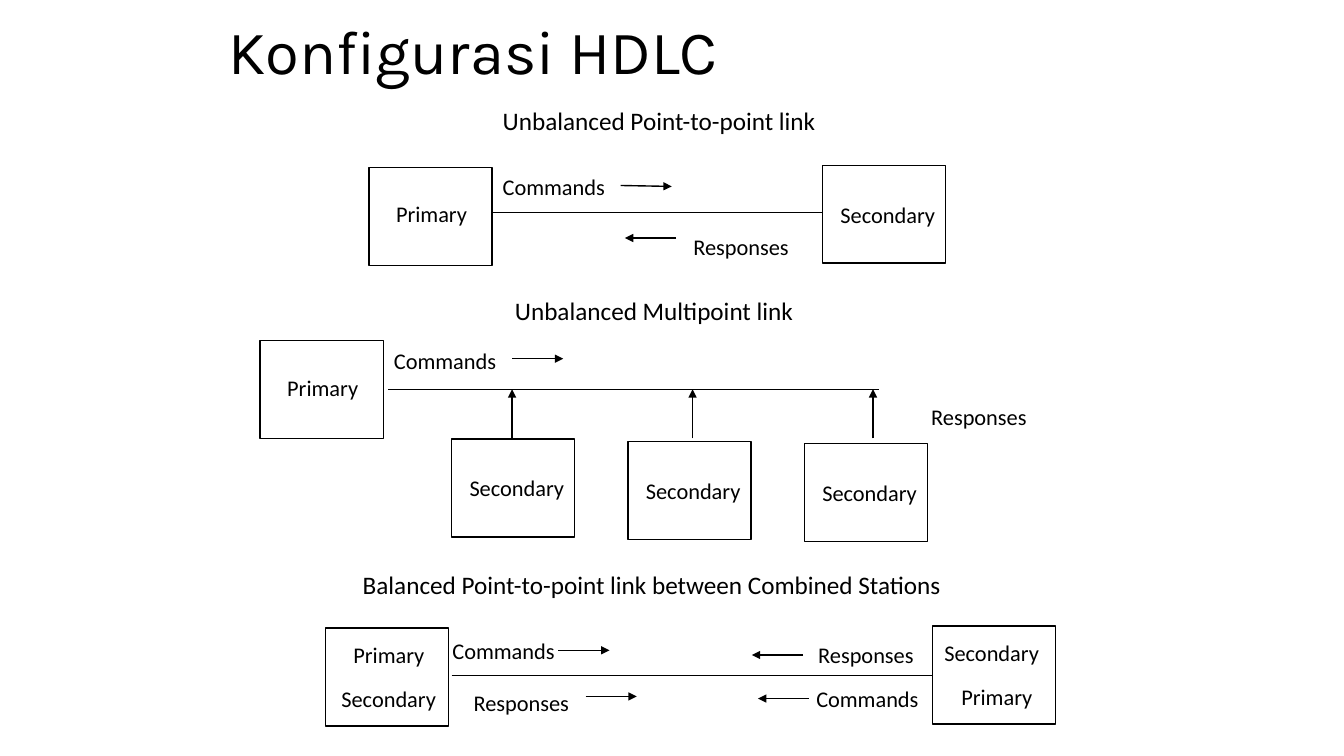
"""Builds a slide that shows the three HDLC link configurations."""
import dataclasses

import lxml.etree
import pptx
import pptx.dml.color
import pptx.enum.shapes
import pptx.enum.text
import pptx.oxml.ns
import pptx.util

Pt = pptx.util.Pt


@dataclasses.dataclass(frozen=True)
class Theme:
    """Colours, fonts and sizes of the slide."""
    ink: pptx.dml.color.RGBColor = pptx.dml.color.RGBColor(0, 0, 0)
    title_font: str = "Karla"
    body_font: str = "Calibri"
    title_size: float = 44
    heading_size: float = 18
    label_size: float = 16
    line_width: float = 1


class Diagram:
    """Draws titles, labels, stations and links on one slide."""

    station_size = (88, 70)
    label_widths = {"Primary": 66, "Secondary": 83, "Commands": 88.5, "Responses": 83.5}
    label_offsets = {"Primary": (12.3, 20.2), "Secondary": (5.8, 21.8)}
    arrow_length = 36.5

    def __init__(self, slide, theme):
        self.slide = slide
        self.theme = theme

    def text(self, content, left, top, width, height, size, font):
        box = self.slide.shapes.add_textbox(Pt(left), Pt(top), Pt(width), Pt(height))
        box.text_frame.word_wrap = False
        paragraph = box.text_frame.paragraphs[0]
        paragraph.text = content
        paragraph.font.size = Pt(size)
        paragraph.font.name = font
        paragraph.font.color.rgb = self.theme.ink
        return box.text_frame

    def title(self, content, left, top, width, height):
        frame = self.text(content, left, top, width, height,
                          self.theme.title_size, self.theme.title_font)
        frame.word_wrap = True
        frame.vertical_anchor = pptx.enum.text.MSO_ANCHOR.MIDDLE
        frame.paragraphs[0].line_spacing = 0.9

    def heading(self, content, left, top, width):
        self.text(content, left, top, width, 29,
                  self.theme.heading_size, self.theme.body_font)

    def label(self, content, left, top):
        self.text(content, left, top, self.label_widths[content], 26.5,
                  self.theme.label_size, self.theme.body_font)

    def box(self, left, top):
        width, height = self.station_size
        shape = self.slide.shapes.add_shape(
            pptx.enum.shapes.MSO_SHAPE.RECTANGLE, Pt(left), Pt(top), Pt(width), Pt(height))
        shape.shadow.inherit = False
        shape.fill.background()
        shape.line.color.rgb = self.theme.ink
        shape.line.width = Pt(self.theme.line_width)

    def station(self, role, left, top):
        self.box(left, top)
        across, down = self.label_offsets[role]
        self.label(role, left + across, top + down)

    def line(self, start, end, arrow=False):
        connector = self.slide.shapes.add_connector(
            pptx.enum.shapes.MSO_CONNECTOR.STRAIGHT, *map(Pt, start + end))
        connector.line.color.rgb = self.theme.ink
        connector.line.width = Pt(self.theme.line_width)
        qualified = pptx.oxml.ns.qn
        if arrow:
            outline = connector.line._get_or_add_ln()
            lxml.etree.SubElement(outline, qualified("a:tailEnd"), type="triangle")
        properties = connector._element.spPr
        lxml.etree.SubElement(properties, qualified("a:effectLst"))

    def arrow_right(self, left, top, drop=0):
        self.line((left, top), (left + self.arrow_length, top + drop), arrow=True)

    def arrow_left(self, left, top):
        self.line((left + self.arrow_length, top), (left, top), arrow=True)


def draw_point_to_point(diagram):
    """Draws the unbalanced link between two stations."""
    diagram.heading("Unbalanced Point-to-point link", 352, 72, 241)
    diagram.station("Primary", 263.5, 119.5)
    diagram.station("Secondary", 587.5, 118)
    diagram.line((352, 152), (587, 152))
    diagram.label("Commands", 352, 120.3)
    diagram.arrow_right(443.3, 132.5, drop=0.7)
    diagram.label("Responses", 488.2, 162.7)
    diagram.arrow_left(446.4, 170)


def draw_multipoint(diagram):
    """Draws the unbalanced link from one primary to three secondaries."""
    diagram.heading("Unbalanced Multipoint link", 360.7, 207.4, 214.6)
    diagram.station("Primary", 185.8, 243.3)
    diagram.label("Commands", 274.3, 244.1)
    diagram.arrow_right(365.8, 256.2)
    diagram.label("Responses", 658.1, 284.4)
    diagram.line((277.2, 278.4), (627.8, 278.4))
    for index in range(3):
        diagram.station("Secondary", 322.5 + 126 * index, 313.5 + 1.7 * index)
        tap = 365.8 + 128.9 * index
        diagram.line((tap, 313.2), (tap, 278), arrow=True)


def draw_combined(diagram):
    """Draws the balanced link between two combined stations."""
    diagram.heading("Balanced Point-to-point link between Combined Stations",
                    252, 403.2, 432.7)
    for left, top in ((232.6, 448.7), (666, 447.1)):
        diagram.box(left, top)
    diagram.line((322.6, 482.4), (666.5, 482.4))
    for content, left, top in (
            ("Primary", 245.4, 454.3), ("Secondary", 236.8, 486),
            ("Secondary", 667.5, 453), ("Primary", 679.6, 484.6),
            ("Commands", 316.1, 451.5), ("Responses", 331.2, 488.9),
            ("Responses", 577.4, 454.3), ("Commands", 576, 486)):
        diagram.label(content, left, top)
    for left, top in ((398.9, 464.5), (418.3, 497.5)):
        diagram.arrow_right(left, top)
    for left, top in ((537.1, 467.9), (541.4, 499)):
        diagram.arrow_left(left, top)


def main():
    """Builds and saves the presentation."""
    presentation = pptx.Presentation()
    presentation.slide_width = Pt(960)
    presentation.slide_height = Pt(540)
    slide = presentation.slides.add_slide(presentation.slide_layouts[6])
    diagram = Diagram(slide, Theme())
    diagram.title("Konfigurasi HDLC", 156, -6, 648, 90)
    draw_point_to_point(diagram)
    draw_multipoint(diagram)
    draw_combined(diagram)
    presentation.save("out.pptx")


if __name__ == "__main__":
    main()
